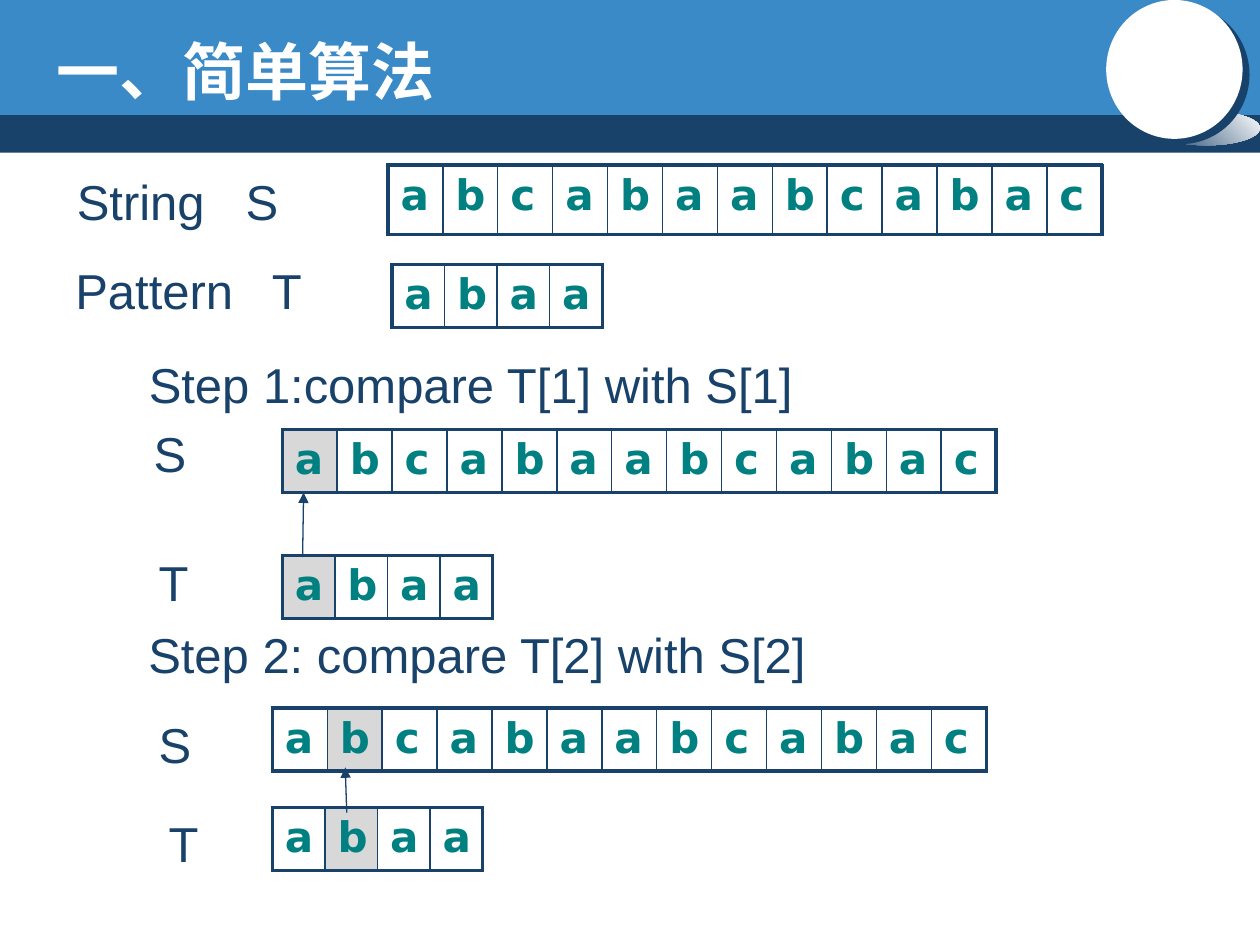
"""Build the slide on simple string matching."""
import pptx
import pptx.dml.color
import pptx.enum.shapes
import pptx.oxml
import pptx.oxml.ns
import pptx.util
from lxml import etree

Cm = pptx.util.Cm
Pt = pptx.util.Pt
RGBColor = pptx.dml.color.RGBColor
KIND = pptx.enum.shapes.MSO_SHAPE
NAVY = RGBColor(0x19, 0x42, 0x6B)
BLUE = RGBColor(0x39, 0x8A, 0xC7)
TEAL = RGBColor(0x00, 0x80, 0x80)
GREY = RGBColor(0xB2, 0xB2, 0xB2)
WHITE = RGBColor(0xFF, 0xFF, 0xFF)
HEAD = {"size": Pt(36), "name": "Times New Roman", "bold": True}
BODY = {"size": Pt(28), "name": "Arial", "bold": False}
CODE = {"size": Pt(24), "name": "DejaVu Sans", "bold": True}


def add(node, tag, **vals):
    """Append a DrawingML child and return it."""
    child = etree.SubElement(node, pptx.oxml.ns.qn("a:" + tag))
    for key, val in vals.items():
        child.set(key, str(val))
    return child


def style(text, form, color):
    """Format the first paragraph's run."""
    font = text.paragraphs[0].runs[0].font
    for key, val in form.items():
        setattr(font, key, val)
    font.color.rgb = color


deck = pptx.Presentation()
deck.slide_width, deck.slide_height = Cm(25.4), Cm(19.05)
slide = deck.slides.add_slide(deck.slide_layouts[6])
shapes = slide.shapes

base = [
    (KIND.RECTANGLE, 0, 2.2, 25.4, 0.88, NAVY),
    (KIND.RECTANGLE, 0, 0, 25.4, 2.32, BLUE),
    (KIND.OVAL, 23.24, 2.24, 2.16, 0.69, None),
    (KIND.OVAL, 22.3, 0, 2.75, 2.8, WHITE),
]
for kind, left, top, wide, high, color in base:
    shape = shapes.add_shape(kind, Cm(left), Cm(top), Cm(wide), Cm(high))
    shape.shadow.inherit = False
    shape.line.fill.background()
    if color is None:
        shape.fill.gradient()
        shape.fill.gradient_angle = 45
        for stop, tint in zip(shape.fill.gradient_stops, (NAVY, WHITE)):
            stop.color.rgb = tint
    else:
        shape.fill.solid()
        shape.fill.fore_color.rgb = color
disc = shape
glow = disc._element.spPr.find(pptx.oxml.ns.qn("a:effectLst"))
cast = add(glow, "outerShdw", dist=Pt(5), dir=37 * 60000, algn="ctr", rotWithShape=0)
add(cast, "srgbClr", val=NAVY)

notes = [
    ("一、简单算法", 0.89, 0.53, 8.15, 1.78, HEAD, WHITE, None, None),
    ("String\tS", 1.3, 3.33, 4.57, 1.45, BODY, NAVY, None, 3.4),
    ("Pattern\tT", 1.27, 5.13, 5.13, 1.45, BODY, NAVY, None, 3.96),
    ("Step 1:compare T[1] with S[1]", 3, 7.14, 14.1, 1.19, BODY, NAVY, 0, None),
    ("S", 3.1, 8.53, 0.66, 1.19, BODY, NAVY, 0, None),
    ("T", 2.95, 11.02, 1.12, 1.45, BODY, NAVY, None, None),
    ("Step 2: compare T[2] with S[2]", 2.74, 12.47, 13.82, 1.45, BODY, NAVY, None, None),
    ("S", 2.95, 14.27, 1.17, 1.45, BODY, NAVY, None, None),
    ("T", 3.15, 16.28, 1.12, 1.45, BODY, NAVY, None, None),
]
for words, left, top, wide, high, form, color, inset, tab in notes:
    box = shapes.add_textbox(Cm(left), Cm(top), Cm(wide), Cm(high))
    text = box.text_frame
    text.word_wrap = False
    if inset is not None:
        for side in ("left", "top", "right", "bottom"):
            setattr(text, "margin_" + side, inset)
    text.text = words
    style(text, form, color)
    if tab:
        stops = add(text.paragraphs[0]._p.get_or_add_pPr(), "tabLst")
        add(stops, "tab", pos=Cm(tab), algn="l")

LONG, SHORT = "abcabaabcabac", "abaa"
grids = [
    (LONG, 7.82, 3.33, 14.4, 1.4, None),
    (SHORT, 7.9, 5.33, 4.24, 1.27, None),
    (LONG, 5.69, 8.66, 14.4, 1.27, 0),
    (SHORT, 5.69, 11.2, 4.24, 1.27, 0),
    (LONG, 5.49, 14.27, 14.4, 1.27, 1),
    (SHORT, 5.49, 16.28, 4.24, 1.27, 1),
]
for word, left, top, wide, high, mark in grids:
    count = len(word)
    frame = shapes.add_table(1, count, Cm(left), Cm(top), Cm(wide), Cm(high))
    table = frame.table
    table.first_row = table.horz_banding = False
    for col, char in enumerate(word):
        table.columns[col].width = Cm(wide / count)
        cell = table.cell(0, col)
        cell.text = char
        style(cell.text_frame, CODE, TEAL)
        prop = cell._tc.get_or_add_tcPr()
        edges = {"lnL": col == 0, "lnR": col == count - 1, "lnT": True, "lnB": True}
        for tag, outer in edges.items():
            edge = add(prop, tag, w=Pt(2.25 if outer else 1))
            add(add(edge, "solidFill"), "srgbClr", val=NAVY)
        if col == mark:
            cell.fill.solid()
            cell.fill.fore_color.rgb = GREY
            add(prop.find(".//" + pptx.oxml.ns.qn("a:srgbClr") + f"[@val='{GREY}']"), "alpha", val=50000)
        else:
            cell.fill.background()

for ends in [(6.1, 11.23, 6.12, 9.93), (6.99, 16.38, 6.96, 15.47)]:
    arrow = shapes.add_connector(pptx.enum.shapes.MSO_CONNECTOR.STRAIGHT, *map(Cm, ends))
    arrow.line.color.rgb = NAVY
    arrow.line.width = Pt(0.75)
    add(arrow.line._get_or_add_ln(), "tailEnd", type="triangle")
    add(arrow._element.spPr, "effectLst")

deck.save("out.pptx")
